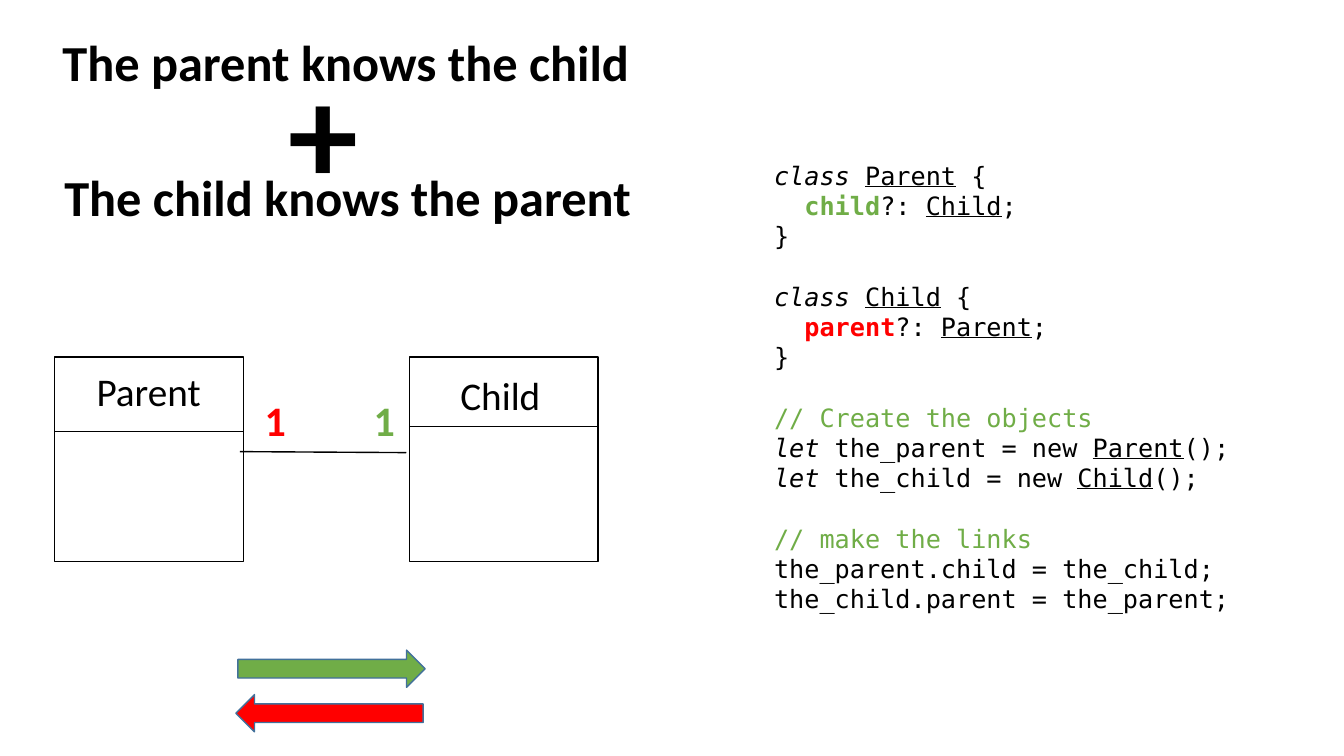
from pptx import Presentation
from pptx.dml.color import RGBColor
from pptx.enum.shapes import MSO_CONNECTOR as CONN, MSO_SHAPE as SHAPE
from pptx.enum.text import PP_ALIGN as ALIGN
from pptx.oxml.ns import qn
from pptx.util import Pt
from lxml.etree import SubElement

COLORS = {"ink": "000000", "paper": "FFFFFF", "green": "70AD47",
          "red": "FF0000", "edge": "42719B"}
TEXT_FONT = "Calibri"
CODE_FONT = "DejaVu Sans Mono"
CODE_SIZE = 18
CODE_LINE = 21.6  # height of one code line

# Run styles of the code: colour, bold, italic, underline
PLAIN = ("ink", False, False, False)
KEYWORD = ("ink", False, True, False)
TYPE = ("ink", False, False, True)
COMMENT = ("green", False, False, False)
TO_CHILD = ("green", True, False, False)
TO_PARENT = ("red", True, False, False)


def class_block(name, field, field_style, field_type):
    return [
        [("class ", KEYWORD), (name, TYPE), (" {", PLAIN)],
        [("  ", PLAIN), (field, field_style), ("?: ", PLAIN),
         (field_type, TYPE), (";", PLAIN)],
        [("}", PLAIN)],
    ]


def new_object(variable, name):
    return [("let", KEYWORD), (f" {variable} = new ", PLAIN),
            (name, TYPE), ("();", PLAIN)]


CODE_BLOCKS = [
    class_block("Parent", "child", TO_CHILD, "Child"),
    class_block("Child", "parent", TO_PARENT, "Parent"),
    [[("// Create the objects", COMMENT)],
     new_object("the_parent", "Parent"),
     new_object("the_child", "Child")],
    [[("// make the links", COMMENT)],
     [("the_parent.child = the_child;", PLAIN)],
     [("the_child.parent = the_parent;", PLAIN)]],
]


class Painter:
    """Draws styled elements on one slide; all lengths are in points."""

    def __init__(self, slide):
        self.slide = slide

    def color(self, name):
        return RGBColor.from_string(COLORS[name])

    def shape(self, kind, box, fill, line, rotation=0):
        s = self.slide.shapes.add_shape(kind, *map(Pt, box))
        s.shadow.inherit = False
        s.fill.solid()
        s.fill.fore_color.rgb = self.color(fill)
        s.line.color.rgb = self.color(line)
        s.line.width = Pt(1)
        s.rotation = rotation

    def line(self, *ends):
        s = self.slide.shapes.add_connector(CONN.STRAIGHT, *map(Pt, ends))
        s.line.color.rgb = self.color("ink")
        s.line.width = Pt(1)
        SubElement(s._element.spPr, qn("a:effectLst"))

    def frame(self, box):
        tf = self.slide.shapes.add_textbox(*map(Pt, box)).text_frame
        tf.word_wrap = True
        return tf

    def run(self, p, text, font, size, style):
        color, bold, italic, underline = style
        r = p.add_run()
        r.text = text
        r.font.name = font
        r.font.size = Pt(size)
        r.font.color.rgb = self.color(color)
        r.font.bold = bold
        r.font.italic = italic
        r.font.underline = underline

    def label(self, text, box, size, color="ink", bold=False, align=ALIGN.LEFT):
        p = self.frame(box).paragraphs[0]
        p.alignment = align
        self.run(p, text, TEXT_FONT, size, (color, bold, False, False))

    def code(self, blocks, box):
        tf = self.frame(box)
        for b, block in enumerate(blocks):
            for n, line in enumerate(block):
                first = b == n == 0
                p = tf.paragraphs[0] if first else tf.add_paragraph()
                if n == 0 and b > 0:
                    p.space_before = Pt(CODE_LINE)
                for text, style in line:
                    self.run(p, text, CODE_FONT, CODE_SIZE, style)


def main():
    prs = Presentation()
    prs.slide_width, prs.slide_height = Pt(960), Pt(540)
    art = Painter(prs.slides.add_slide(prs.slide_layouts[6]))

    # Headings
    art.label("The parent knows the child", (37.5, 18.7, 424, 51), 36, bold=True)
    art.label("+", (198.7, 28, 65, 128), 100, bold=True)
    art.label("The child knows the parent", (38.9, 115.2, 432, 51), 36, bold=True)

    # Class boxes: name, left, divider height, name box
    top, width, height = 254.9, 134.9, 146.2
    for name, left, divider, name_box in (
            ("Parent", 38.9, 308.2, (61.9, 258.5, 95, 41)),
            ("Child", 292.3, 304.6, (321.8, 261.4, 77, 41))):
        art.shape(SHAPE.RECTANGLE, (left, top, width, height), "paper", "ink")
        art.line(left, divider, left + width, divider)
        art.label(name, name_box, 28)

    # Association with its multiplicities
    art.line(171.4, 322.6, 290.2, 323.3)
    for left, color in ((181.4, "red"), (259.2, "green")):
        art.label("1", (left, 278.3, 30, 44), 30, color, True, ALIGN.RIGHT)

    # Direction arrows
    for left, arrow_top, color, rotation in (
            (169.9, 464.4, "green", 0), (168.5, 496.1, "red", 180)):
        art.shape(SHAPE.RIGHT_ARROW, (left, arrow_top, 133.7, 26.6),
                  color, "edge", rotation)

    # Code
    art.code(CODE_BLOCKS, (545.8, 110.9, 408, 334))

    prs.save("out.pptx")


if __name__ == "__main__":
    main()
